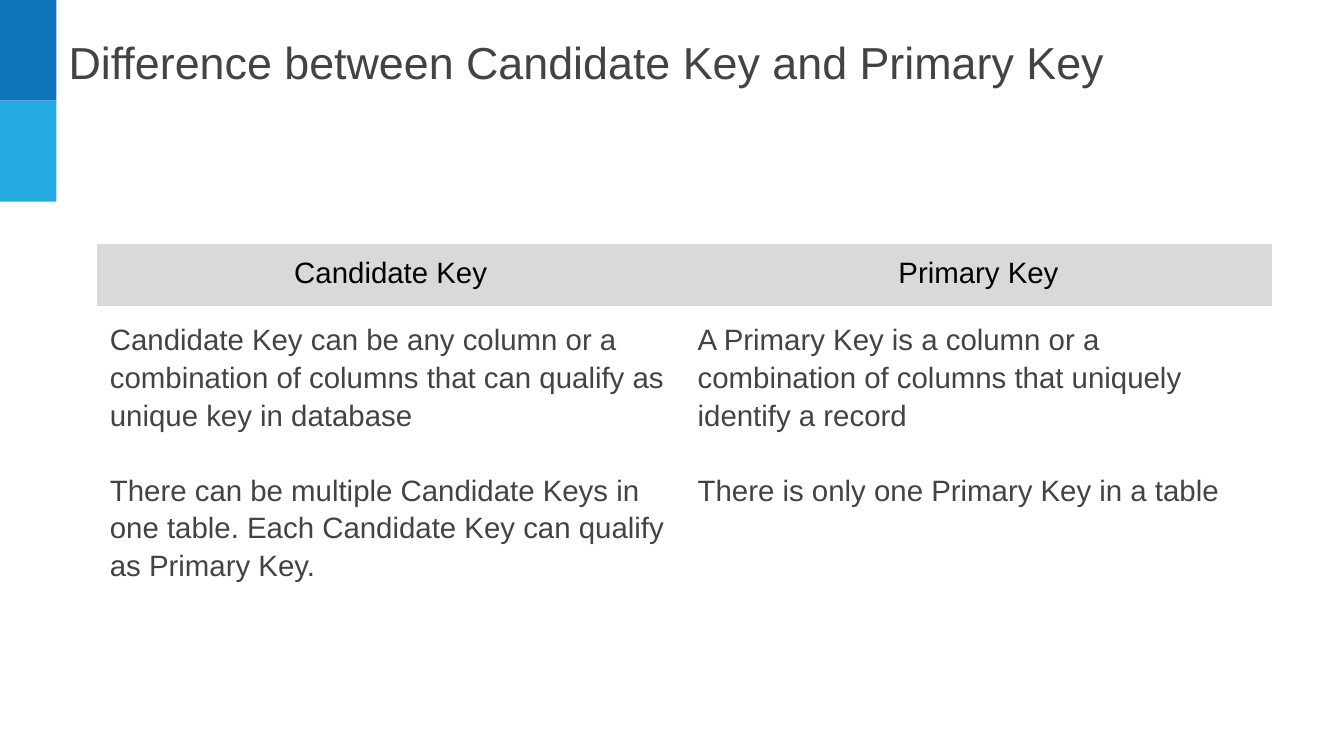
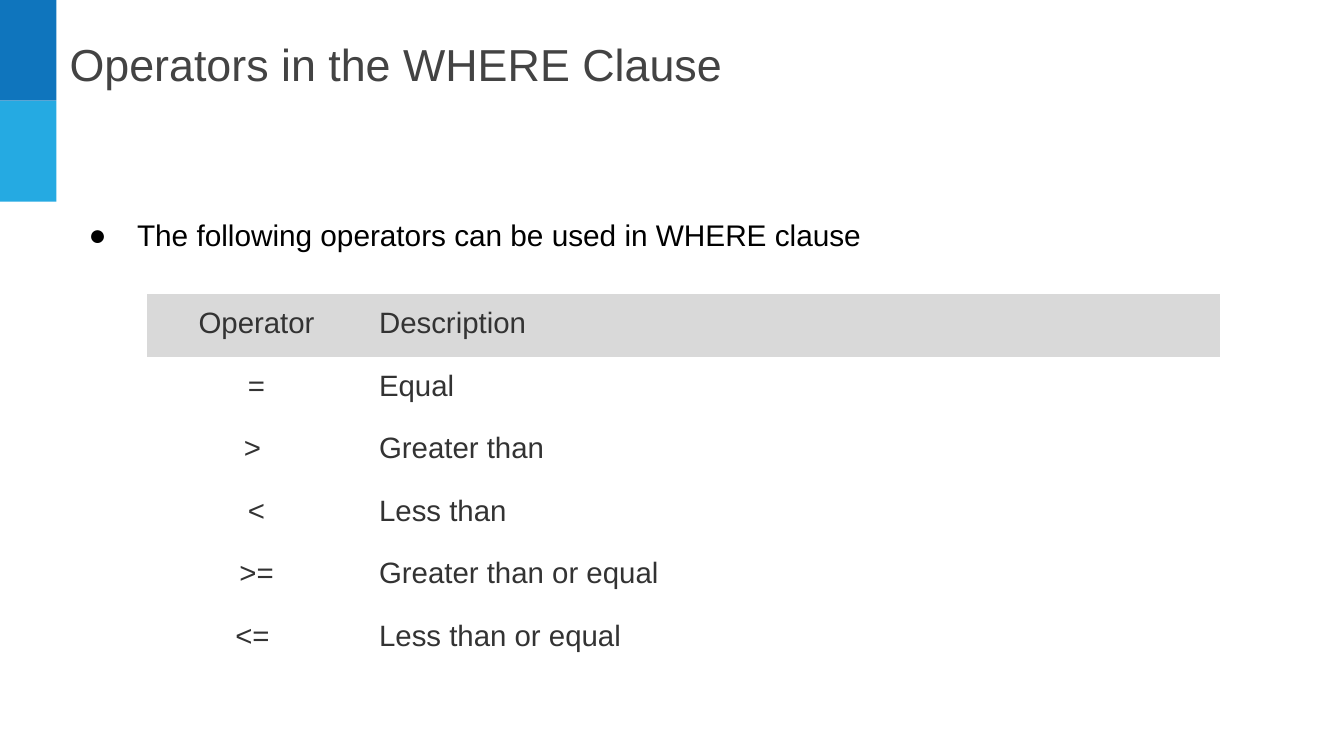
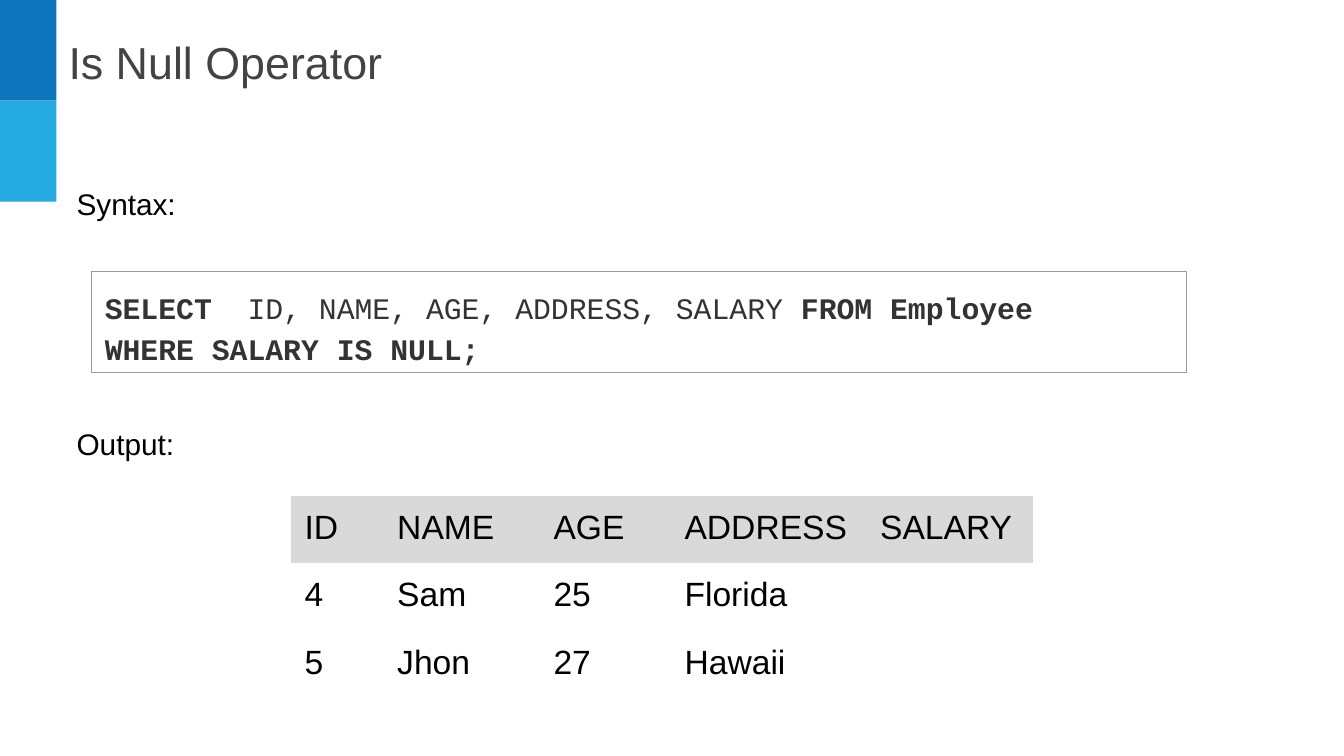
from dataclasses import dataclass

from pptx import Presentation
from pptx.dml.color import RGBColor
from pptx.enum.shapes import MSO_SHAPE as SHAPE
from pptx.enum.text import MSO_ANCHOR as ANCHOR, PP_ALIGN as ALIGN
from pptx.oxml.ns import qn
from pptx.util import Inches, Pt
from lxml.etree import SubElement


@dataclass(frozen=True)
class Theme:
    # Colours
    dark_blue: str = "0F75BD"
    light_blue: str = "25AAE2"
    black: str = "000000"
    title: str = "434343"
    ink: str = "333333"
    head_fill: str = "D9D9D9"
    outline: str = "999999"
    # Type
    font: str = "Arial"
    code_font: str = "Courier New"
    title_size: float = 32
    body_size: float = 21.3
    cell_size: float = 21
    data_size: float = 24
    # Spacing
    inset: float = 0.13
    loose: float = 1.15


T = Theme()
NO_STYLE = "{2D5ABB26-0587-4C30-8999-92F81FD0307C}"


def rgb(value):
    return RGBColor.from_string(value)


def set_margins(box):
    box.margin_left = box.margin_right = Inches(T.inset)
    box.margin_top = box.margin_bottom = Inches(T.inset)


def add_bullet(p, char, indent, hanging):
    pPr = p._p.get_or_add_pPr()
    pPr.set("marL", str(Inches(indent)))
    pPr.set("indent", str(-Inches(hanging)))
    color = SubElement(SubElement(pPr, qn("a:buClr")), qn("a:srgbClr"))
    color.set("val", T.black)
    SubElement(pPr, qn("a:buFont")).set("typeface", T.font)
    SubElement(pPr, qn("a:buChar")).set("char", char)


def write(tf, paragraphs, size=T.body_size, color=T.black, font=T.font,
          align=ALIGN.LEFT, spacing=None, bullet=None):
    """Each paragraph is a string or a list of (text, bold) runs."""
    tf.word_wrap = True
    for i, runs in enumerate(paragraphs):
        p = tf.add_paragraph() if i else tf.paragraphs[0]
        p.alignment = align
        if spacing:
            p.line_spacing = spacing
        if bullet:
            add_bullet(p, *bullet)
        for text, bold in [(runs, False)] if isinstance(runs, str) else runs:
            r = p.add_run()
            r.text = text
            r.font.name, r.font.size, r.font.bold = font, Pt(size), bold
            r.font.color.rgb = rgb(color)


def add_text(s, text, x, y, w, h, **fmt):
    tf = s.shapes.add_textbox(*map(Inches, (x, y, w, h))).text_frame
    set_margins(tf)
    write(tf, [text], **fmt)


def add_rect(s, x, y, w, h, fill=None, line=None):
    sp = s.shapes.add_shape(SHAPE.RECTANGLE, *map(Inches, (x, y, w, h)))
    sp.shadow.inherit = False
    if fill:
        sp.fill.solid()
        sp.fill.fore_color.rgb = rgb(fill)
    else:
        sp.fill.background()
    if line:
        sp.line.color.rgb = rgb(line)
        sp.line.width = Pt(0.75)
    else:
        sp.line.fill.background()
    return sp


def add_code(s, lines, x, y, w, h):
    tf = add_rect(s, x, y, w, h, line=T.outline).text_frame
    set_margins(tf)
    tf.vertical_anchor = ANCHOR.TOP
    write(tf, lines, color=T.ink, font=T.code_font, spacing=T.loose)


def add_grid(s, rows, x, y, widths, heights, head, body, aligns=None):
    """Table with a grey header row; aligns gives one alignment per column."""
    frame = s.shapes.add_table(len(rows), len(widths), Inches(x), Inches(y),
                               Inches(sum(widths)), Inches(sum(heights)))
    table = frame.table
    table.first_row = table.horz_banding = False
    table._tbl.tblPr.find(qn("a:tableStyleId")).text = NO_STYLE
    for col, width in zip(table.columns, widths):
        col.width = Inches(width)
    for i, (row, height) in enumerate(zip(rows, heights)):
        table.rows[i].height = Inches(height)
        for j, text in enumerate(row):
            cell = table.cell(i, j)
            set_margins(cell)
            if i == 0:
                cell.fill.solid()
                cell.fill.fore_color.rgb = rgb(T.head_fill)
            else:
                cell.fill.background()
            fmt = dict(body if i else head)
            if aligns:
                fmt["align"] = aligns[j]
            if text:
                write(cell.text_frame, [text], **fmt)


def new_slide(prs, title, x=0.55, y=0.21):
    """Blank slide with the title and the two side bands."""
    s = prs.slides.add_slide(prs.slide_layouts[6])
    add_text(s, title, x, y, 10.86, 0.77, size=T.title_size, color=T.title)
    for i, fill in enumerate((T.dark_blue, T.light_blue)):
        add_rect(s, 0, i, 0.56, 1, fill=fill)
    return s


def key_slide(prs):
    s = new_slide(prs, "Difference between Candidate Key and Primary Key")
    rows = [
        ("Candidate Key", "Primary Key"),
        ("Candidate Key can be any column or a combination of columns that "
         "can qualify as unique key in database",
         "A Primary Key is a column or a combination of columns that "
         "uniquely identify a record"),
        ("There can be multiple Candidate Keys in one table. Each Candidate "
         "Key can qualify as Primary Key.",
         "There is only one Primary Key in a table"),
    ]
    add_grid(s, rows, 0.96, 2.42, [5.83] * 2, [0.62, 1.49, 1.49],
             head=dict(size=T.cell_size, align=ALIGN.CENTER),
             body=dict(size=T.cell_size, color=T.title, spacing=T.loose))


def operator_slide(prs):
    s = new_slide(prs, "Operators in the WHERE Clause", 0.56, 0.23)
    add_text(s, "The following operators can be used in WHERE clause",
             0.56, 1.97, 8.2, 0.61, spacing=T.loose, bullet=("●", 0.67, 0.48))
    rows = [
        ("Operator", "Description"),
        ("=", "Equal"),
        ("> ", "Greater than"),
        ("<", "Less than"),
        (">=", "Greater than or equal"),
        ("<= ", "Less than or equal"),
    ]
    fmt = dict(size=T.cell_size, color=T.ink)
    add_grid(s, rows, 1.46, 2.92, [2.17, 8.47], [0.62] * len(rows),
             head=fmt, body=fmt, aligns=(ALIGN.CENTER, ALIGN.LEFT))


def null_slide(prs):
    s = new_slide(prs, "Is Null Operator")
    for label, y in (("Syntax:", 1.71), ("Output:", 4.09)):
        add_text(s, label, 0.63, y, 1.42, 0.6, align=ALIGN.JUSTIFY)
    code = [
        [("SELECT", True), ("  ID, NAME, AGE, ADDRESS, SALARY ", False),
         ("FROM Employee", True)],
        [("WHERE SALARY IS NULL;", True)],
    ]
    add_code(s, code, 0.91, 2.69, 10.86, 1.01)
    rows = [
        ("ID", "NAME", "AGE", "ADDRESS", "SALARY"),
        ("4", "Sam", "25", "Florida", ""),
        ("5", "Jhon", "27", "Hawaii", ""),
    ]
    fmt = dict(size=T.data_size)
    add_grid(s, rows, 2.89, 4.92, [0.92, 1.55, 1.3, 1.94, 1.65],
             [0.67] * len(rows), head=fmt, body=fmt)


def main():
    prs = Presentation()
    prs.slide_width, prs.slide_height = Inches(13.33), Inches(7.5)
    for build in (key_slide, operator_slide, null_slide):
        build(prs)
    prs.save("out.pptx")


if __name__ == "__main__":
    main()
